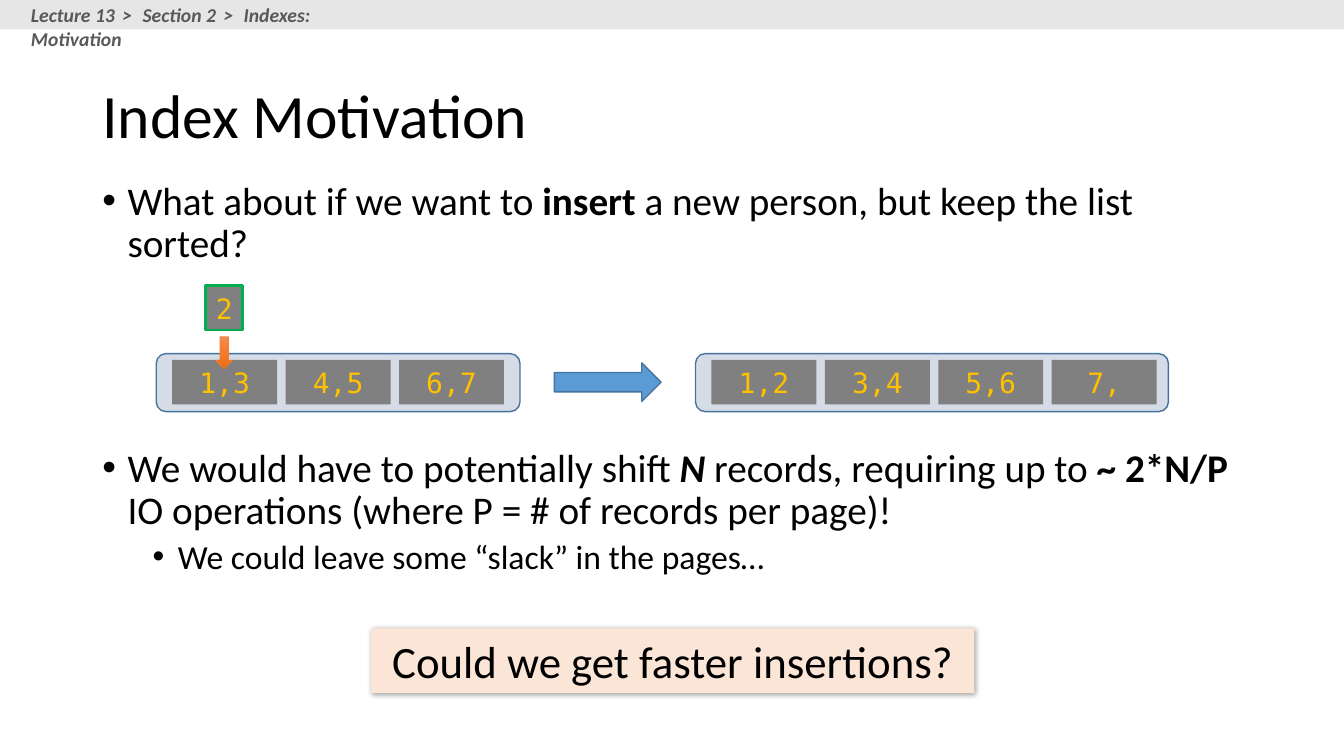
from copy import deepcopy
from dataclasses import dataclass
from typing import Optional

from lxml.etree import SubElement
from pptx import Presentation
from pptx.dml.color import RGBColor as Rgb
from pptx.enum.shapes import MSO_SHAPE as Shape
from pptx.enum.text import MSO_ANCHOR as Anchor, PP_ALIGN as Align
from pptx.oxml.ns import qn
from pptx.util import Inches, Pt

COLUMNS, ROWS = 160, 90
WIDTH, HEIGHT = Inches(13.33), Inches(7.5)

COLORS = {
    "black": "000000", "bar": "E7E6E6", "header": "595959",
    "frame": "D6DCE5", "outline": "43739E", "arrow": "5B9BD5",
    "record": "808080", "key": "FFC000", "new": "00B050",
    "insert": "ED7D31", "question": "FBE5D6",
}
INSERT_STOPS = [(0, "F18C57"), (0.5, "F67B28"), (1, "E56C19")]

FORMATS = {
    "title": {"name": "Calibri", "size": Pt(44)},
    "body": {"name": "Calibri", "size": Pt(28)},
    "strong": {"name": "Calibri", "size": Pt(28), "bold": True},
    "symbol": {"name": "Calibri", "size": Pt(28), "bold": True, "italic": True},
    "detail": {"name": "Calibri", "size": Pt(24)},
    "header": {"name": "Calibri", "size": Pt(14), "bold": True, "italic": True},
    "key": {"name": "DejaVu Sans Mono", "size": Pt(20)},
    "question": {"name": "Calibri", "size": Pt(32)},
}


@dataclass
class Area:
    column: float
    row: float
    columns: float
    rows: float

    def place(self) -> tuple[int, int, int, int]:
        across, down = WIDTH / COLUMNS, HEIGHT / ROWS
        return (round(self.column * across), round(self.row * down),
                round(self.columns * across), round(self.rows * down))


@dataclass
class Span:
    text: str
    style: str
    color: str = "black"
    spacing: int = 0


@dataclass
class Bullet:
    spans: list[Span]
    level: int = 0


@dataclass
class File:
    column: float
    columns: float
    pages: list[str]


HEADER = [Span("Lecture 13", "header", "header"),
          Span(" > ", "header", "header", 210),
          Span("Section 2", "header", "header"),
          Span(" > ", "header", "header", 210),
          Span("Indexes: Motivation", "header", "header")]

BULLET_AREAS = [
    (Area(11, 21, 138, 12), [
        Bullet([Span("What about if we want to ", "body"),
                Span("insert", "strong"),
                Span(" a new person, but keep the list sorted?", "body")]),
    ]),
    (Area(11, 52.8, 138, 18), [
        Bullet([Span("We would have to potentially shift ", "body"),
                Span("N", "symbol"),
                Span(" records, requiring up to ", "body"),
                Span("~ 2*N/P ", "strong"),
                Span("IO operations (where P = # of records per page)!", "body")]),
        Bullet([Span("We could leave some “slack” in the pages…", "detail")], 1),
    ]),
]

FILES = [File(18.6, 43.3, ["1,3", "4,5", "6,7"]),
         File(82.8, 56.3, ["1,2", "3,4", "5,6", "7,"])]
PAGE_STEP, PAGE_MARGIN = 13.5, 1.9


def color_of(name: str) -> Rgb:
    return Rgb.from_string(COLORS[name])


def write(para, spans: list[Span]) -> None:
    for span in spans:
        run = para.add_run()
        run.text = span.text
        for key, value in FORMATS[span.style].items():
            setattr(run.font, key, value)
        run.font.color.rgb = color_of(span.color)
        if span.spacing:
            run.font._element.set("spc", str(span.spacing))


def add_text(page, area: Area, spans: list[Span], anchor=Anchor.TOP):
    box = page.shapes.add_textbox(*area.place())
    frame = box.text_frame
    frame.word_wrap = True
    frame.vertical_anchor = anchor
    write(frame.paragraphs[0], spans)
    return frame


def add_bullets(page, area: Area, bullets: list[Bullet]) -> None:
    frame = add_text(page, area, [])
    for index, bullet in enumerate(bullets):
        para = frame.add_paragraph() if index else frame.paragraphs[0]
        properties = para._p.get_or_add_pPr()
        properties.set("marL", str(Inches(0.25 + 0.5 * bullet.level)))
        properties.set("indent", str(Inches(-0.25)))
        SubElement(properties, qn("a:buFont"), typeface="Arial")
        SubElement(properties, qn("a:buChar"), char="•")
        para.level = bullet.level
        para.line_spacing = 0.9
        if index:
            para.space_before = Pt(5 if bullet.level else 10)
        write(para, bullet.spans)


def add_block(page, kind, area: Area, fill: str, line: Optional[str] = None,
              weight: float = 1, label: Optional[Span] = None):
    block = page.shapes.add_shape(kind, *area.place())
    block.shadow.inherit = False
    block.fill.solid()
    block.fill.fore_color.rgb = color_of(fill)
    if line:
        block.line.color.rgb = color_of(line)
        block.line.width = Pt(weight)
    else:
        block.line.fill.background()
    if label:
        frame = block.text_frame
        frame.vertical_anchor = Anchor.MIDDLE
        frame.word_wrap = kind == Shape.RECTANGLE and area.columns > 5
        frame.paragraphs[0].alignment = Align.CENTER
        write(frame.paragraphs[0], [label])
    return block


def add_file(page, file: File) -> None:
    add_block(page, Shape.ROUNDED_RECTANGLE,
              Area(file.column, 42.1, file.columns, 6.9), "frame", "outline")
    for index, keys in enumerate(file.pages):
        column = file.column + PAGE_MARGIN + index * PAGE_STEP
        add_block(page, Shape.RECTANGLE, Area(column, 42.85, 12.5, 5.3),
                  "record", label=Span(keys, "key", "key"))


def shade_down(block) -> None:
    block.fill.gradient()
    block.fill.gradient_angle = 270
    stops = block._element.spPr.find(".//" + qn("a:gsLst"))
    stops.insert(1, deepcopy(stops[0]))
    for stop, (position, color) in zip(block.fill.gradient_stops, INSERT_STOPS):
        stop.position = position
        stop.color.rgb = Rgb.from_string(color)


def cast_shadow(block) -> None:
    effects = block._element.spPr.find(qn("a:effectLst"))
    shadow = SubElement(effects, qn("a:outerShdw"), blurRad=str(Pt(4)),
                        dist=str(Pt(1)), dir=str(45 * 60000), algn="tl")
    tint = SubElement(shadow, qn("a:srgbClr"), val=COLORS["black"])
    SubElement(tint, qn("a:alpha"), val="40000")


def main() -> None:
    deck = Presentation()
    deck.slide_width, deck.slide_height = WIDTH, HEIGHT
    page = deck.slides.add_slide(deck.slide_layouts[6])
    add_text(page, Area(11, 4.8, 138, 17.4),
             [Span("Index Motivation", "title")], Anchor.MIDDLE)
    for area, bullets in BULLET_AREAS:
        add_bullets(page, area, bullets)
    add_block(page, Shape.RECTANGLE, Area(0, 0, COLUMNS, 3.5), "bar")
    add_text(page, Area(2.5, -0.2, 46.1, 4.1), HEADER)
    for file in FILES:
        add_file(page, file)
    add_block(page, Shape.RIGHT_ARROW, Area(66, 43.2, 12.7, 4.6), "arrow", "outline")
    shade_down(add_block(page, Shape.DOWN_ARROW, Area(25.7, 40.1, 2, 3.8),
                         "insert", "insert", 0.5))
    add_block(page, Shape.RECTANGLE, Area(24.5, 34, 4.4, 5.3), "record", "new", 2,
              Span("2", "key", "key"))
    cast_shadow(add_block(page, Shape.RECTANGLE, Area(44.2, 74.8, 71.8, 7.7), "question",
                          label=Span("Could we get faster insertions?", "question")))
    deck.save("out.pptx")


if __name__ == "__main__":
    main()
